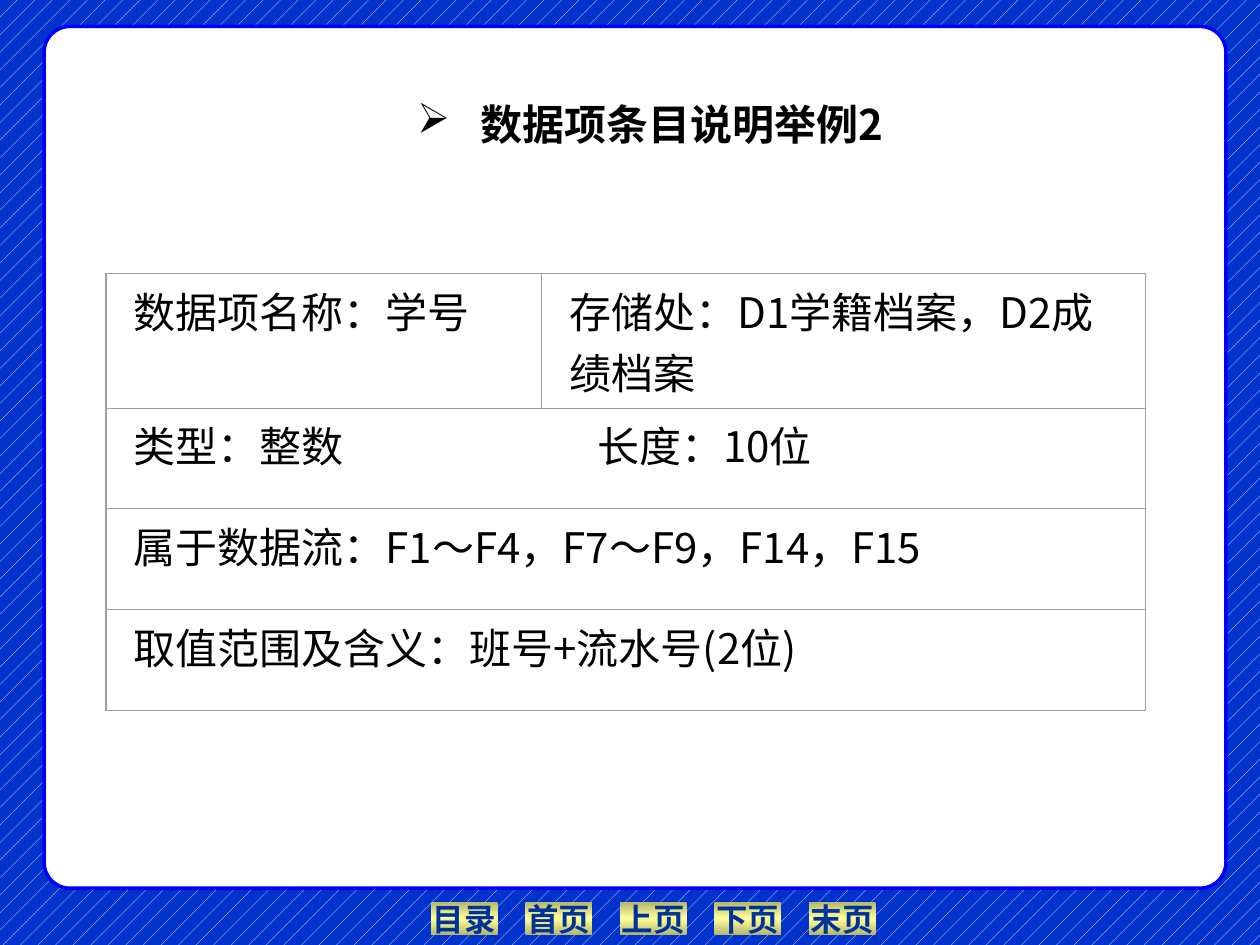
from dataclasses import dataclass

from lxml import etree
from pptx import Presentation
from pptx.dml.color import RGBColor
from pptx.enum import dml, shapes, text
from pptx.oxml import parse_xml
from pptx.oxml.ns import nsdecls, qn
from pptx.util import Inches, Pt

CJK = "Noto Sans CJK SC"
BLACK, WHITE, GREY = "000000", "FFFFFF", "A0A0A0"
OUTER_WIDTH, INNER_WIDTH = 1, 0.5


@dataclass
class NavButton:
    label: str
    left: float


@dataclass
class EntryRow:
    height: float
    cells: tuple[str, ...]


NAV_BUTTONS = [NavButton(label, 3.42 + 0.75 * i)
               for i, label in enumerate(("目录", "首页", "上页", "下页", "末页"))]
COLUMN_WIDTHS = (3.46, 4.79)
ENTRY_ROWS = [
    EntryRow(1.06, ("数据项名称：学号", "存储处：D1学籍档案，D2成绩档案")),
    EntryRow(0.8, ("类型：整数\t长度：10位",)),
    EntryRow(0.8, ("属于数据流：F1～F4，F7～F9，F14，F15",)),
    EntryRow(0.8, ("取值范围及含义：班号+流水号(2位)",)),
]


def rgb(hex_colour: str) -> RGBColor:
    return RGBColor.from_string(hex_colour)


def add_run(paragraph, words: str, size: float, colour: str, font: str, bold: bool = False) -> None:
    run = paragraph.add_run()
    run.text = words
    run.font.size = Pt(size)
    run.font.bold = bold
    run.font.color.rgb = rgb(colour)
    run.font.name = font
    if font == CJK:
        etree.SubElement(run.font._element, qn("a:ea"), typeface=font)


def paint_background(slide) -> None:
    fill = slide.background.fill
    fill.patterned()
    fill.pattern = dml.MSO_PATTERN.PERCENT_5
    fill.fore_color.rgb = rgb(WHITE)
    fill.back_color.rgb = rgb("0033CC")


def add_nav_button(slide, button: NavButton) -> None:
    shape = slide.shapes.add_shape(shapes.MSO_SHAPE.ACTION_BUTTON_CUSTOM, Inches(button.left),
                                   Inches(7.16), Inches(0.53), Inches(0.26))
    shape.shadow.inherit = False
    stops = "".join(f'<a:gs pos="{pos * 1000}"><a:srgbClr val="{colour}"/></a:gs>'
                    for pos, colour in ((0, "B6B66D"), (50, "FFFF99"), (100, "B6B66D")))
    shape._element.spPr.find(qn("a:prstGeom")).addnext(parse_xml(
        f'<a:gradFill {nsdecls("a")} rotWithShape="1"><a:gsLst>{stops}</a:gsLst>'
        '<a:lin ang="5400000" scaled="1"/></a:gradFill>'))
    shape.line.fill.background()
    frame = shape.text_frame
    frame.word_wrap = False
    frame.vertical_anchor = text.MSO_ANCHOR.MIDDLE
    frame.paragraphs[0].alignment = text.PP_ALIGN.CENTER
    add_run(frame.paragraphs[0], button.label, 18, "003399", "Times New Roman", bold=True)


def add_page_panel(slide) -> None:
    panel = slide.shapes.add_shape(shapes.MSO_SHAPE.ROUNDED_RECTANGLE, Inches(0.35),
                                   Inches(0.21), Inches(9.38), Inches(6.84))
    panel.adjustments[0] = 0.03
    panel.shadow.inherit = False
    panel.fill.solid()
    panel.fill.fore_color.rgb = rgb(WHITE)
    panel.line.color.rgb = rgb("0000FF")
    panel.line.width = Pt(2)


def set_borders(cell, widths: dict[str, float]) -> None:
    properties = cell._tc.get_or_add_tcPr()
    for side, width in widths.items():
        properties.append(parse_xml(
            f'<a:ln{side} {nsdecls("a")} w="{Pt(width)}"><a:solidFill>'
            f'<a:srgbClr val="{GREY}"/></a:solidFill></a:ln{side}>'))


def add_entry_table(slide) -> None:
    row_count, column_count = len(ENTRY_ROWS), len(COLUMN_WIDTHS)
    table = slide.shapes.add_table(
        row_count, column_count, Inches(0.84), Inches(2.17), Inches(sum(COLUMN_WIDTHS)),
        Inches(sum(row.height for row in ENTRY_ROWS))).table
    table.first_row = table.horz_banding = False
    for column, width in zip(table.columns, COLUMN_WIDTHS):
        column.width = Inches(width)
    for r, entry in enumerate(ENTRY_ROWS):
        table.rows[r].height = Inches(entry.height)
        if len(entry.cells) < column_count:
            table.cell(r, 0).merge(table.cell(r, column_count - 1))
        for c in range(column_count):
            cell = table.cell(r, c)
            on_edge = {"L": c == 0, "R": c == column_count - 1 or cell.is_merge_origin,
                       "T": r == 0, "B": r == row_count - 1}
            set_borders(cell, {side: OUTER_WIDTH if edge else INNER_WIDTH
                               for side, edge in on_edge.items()})
            cell.fill.background()
            cell.margin_left = cell.margin_right = Inches(0.22)
        for c, words in enumerate(entry.cells):
            paragraph = table.cell(r, c).text_frame.paragraphs[0]
            if "\t" in words:
                tabs = etree.SubElement(paragraph._p.get_or_add_pPr(), qn("a:tabLst"))
                etree.SubElement(tabs, qn("a:tab"), pos=str(Inches(3.68)), algn="l")
            add_run(paragraph, words, 24, BLACK, CJK)


def fill_title(slide) -> None:
    title = slide.shapes.title
    title.left, title.top = Inches(0.67), Inches(0.68)
    title.width, title.height = Inches(8.98), Inches(0.55)
    slide.shapes._spTree.append(title._element)  # bring in front of the panel
    frame = title.text_frame
    frame.auto_size = text.MSO_AUTO_SIZE.NONE
    frame.vertical_anchor = text.MSO_ANCHOR.BOTTOM
    paragraph = frame.paragraphs[0]
    paragraph.alignment = text.PP_ALIGN.CENTER
    properties = paragraph._p.get_or_add_pPr()
    properties.set("marL", "0")
    properties.set("indent", "0")
    etree.SubElement(properties, qn("a:buChar"), char="➢")
    add_run(paragraph, "\t数据项条目说明举例2", 24, BLACK, CJK, bold=True)


def main() -> None:
    deck = Presentation()
    deck.slide_width, deck.slide_height = Inches(10), Inches(7.5)
    slide = deck.slides.add_slide(deck.slide_layouts.get_by_name("Title Only"))
    paint_background(slide)
    for button in NAV_BUTTONS:
        add_nav_button(slide, button)
    add_page_panel(slide)
    add_entry_table(slide)
    fill_title(slide)
    deck.save("out.pptx")


if __name__ == "__main__":
    main()
